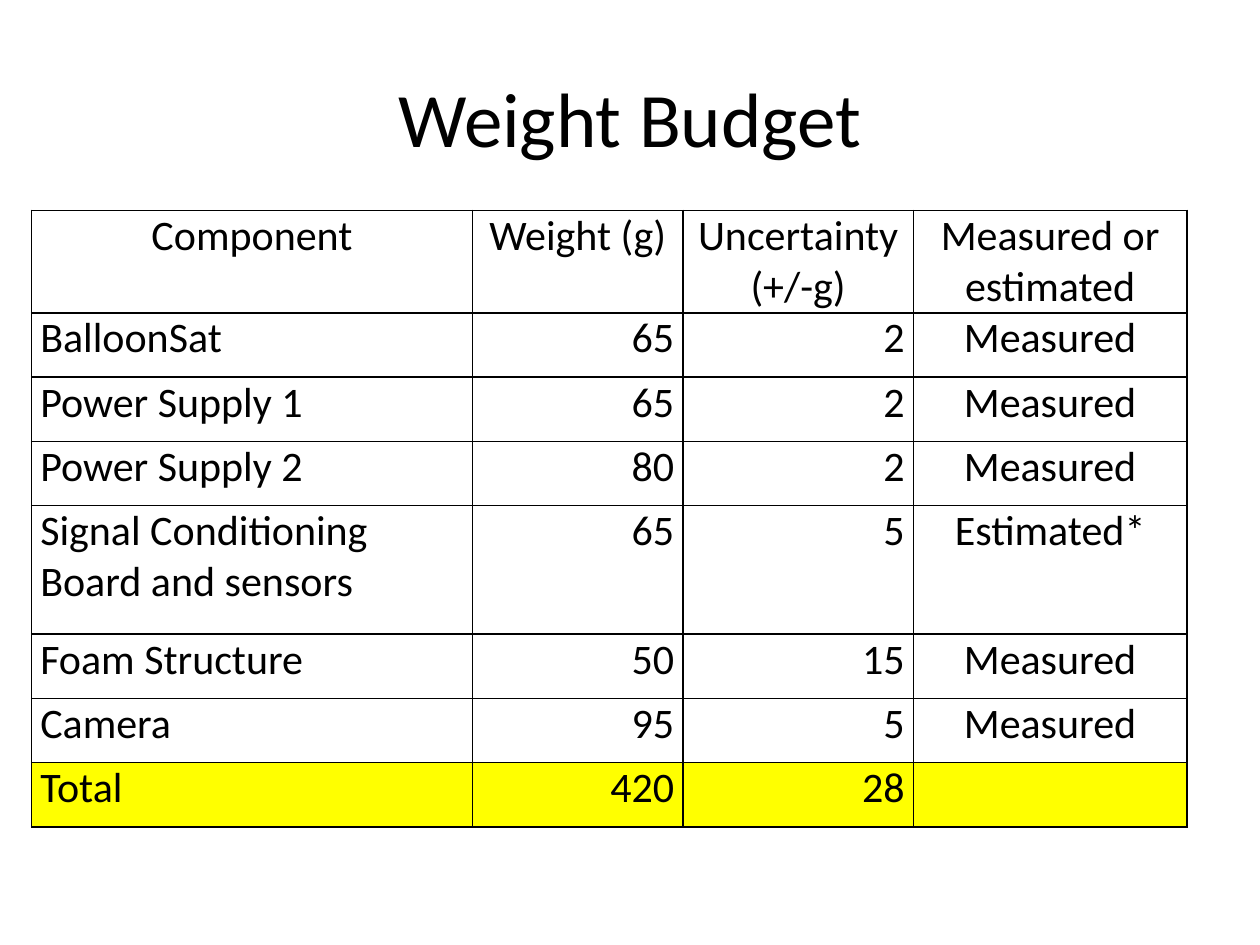
from lxml import etree
from pptx import Presentation
from pptx.dml.color import RGBColor
from pptx.enum.text import MSO_ANCHOR, PP_ALIGN
from pptx.oxml.ns import qn
from pptx.util import Inches, Pt

# Content
TITLE = "Weight Budget"
HEADER = ("Component", "Weight (g)", "Uncertainty (+/-g)", "Measured or estimated")
COMPONENTS = [
    ("BalloonSat", 65, 2, "Measured"),
    ("Power Supply 1", 65, 2, "Measured"),
    ("Power Supply 2", 80, 2, "Measured"),
    ("Signal Conditioning Board and sensors", 65, 5, "Estimated*"),
    ("Foam Structure", 50, 15, "Measured"),
    ("Camera", 95, 5, "Measured"),
]
TOTAL = ("Total", 420, 28, "")

# Style
FONT = "Calibri"
BLACK = RGBColor(0x00, 0x00, 0x00)
YELLOW = RGBColor(0xFF, 0xFF, 0x00)
COLUMN_WIDTHS = (3.5, 1.67, 1.83, 2.17)
COLUMN_ALIGNS = (PP_ALIGN.LEFT, PP_ALIGN.RIGHT, PP_ALIGN.RIGHT, PP_ALIGN.CENTER)
ROW_HEIGHT = 0.51
TALL_ROW = 4  # the two-line component name


def set_font(paragraph, size):
    paragraph.font.name = FONT
    paragraph.font.size = Pt(size)
    paragraph.font.color.rgb = BLACK


def add_borders(cell, width=Pt(1)):
    properties = cell._tc.get_or_add_tcPr()
    for position, side in enumerate(("lnL", "lnR", "lnT", "lnB")):
        line = etree.Element(qn(f"a:{side}"), w=str(width))
        fill = etree.SubElement(line, qn("a:solidFill"))
        etree.SubElement(fill, qn("a:srgbClr"), val=str(BLACK))
        properties.insert(position, line)


prs = Presentation()
prs.slide_width, prs.slide_height = Inches(10), Inches(7.5)
slide = prs.slides.add_slide(prs.slide_layouts[5])

# Title
title = slide.shapes.title
title.left, title.top = Inches(0.5), Inches(0.3)
title.width, title.height = Inches(9), Inches(1.25)
title.text_frame.text = TITLE
title.text_frame.vertical_anchor = MSO_ANCHOR.MIDDLE
heading = title.text_frame.paragraphs[0]
heading.alignment = PP_ALIGN.CENTER
set_font(heading, 44)

# Budget table
rows = [HEADER, *COMPONENTS, TOTAL]
heights = [ROW_HEIGHT * (2 if r == TALL_ROW else 1) for r in range(len(rows))]
budget = slide.shapes.add_table(
    len(rows), len(HEADER), Inches(0.25), Inches(1.67),
    Inches(sum(COLUMN_WIDTHS)), Inches(sum(heights))).table
budget.first_row = budget.horz_banding = False

for column, width in zip(budget.columns, COLUMN_WIDTHS):
    column.width = Inches(width)

for r, (values, height) in enumerate(zip(rows, heights)):
    budget.rows[r].height = Inches(height)
    for c, value in enumerate(values):
        cell = budget.cell(r, c)
        cell.margin_left = cell.margin_right = Inches(0.07)
        cell.margin_top = cell.margin_bottom = 0
        cell.text = str(value)
        paragraph = cell.text_frame.paragraphs[0]
        paragraph.alignment = PP_ALIGN.CENTER if values is HEADER else COLUMN_ALIGNS[c]
        set_font(paragraph, 24)
        if values is TOTAL:
            cell.fill.solid()
            cell.fill.fore_color.rgb = YELLOW
        else:
            cell.fill.background()
        add_borders(cell)

prs.save("out.pptx")
